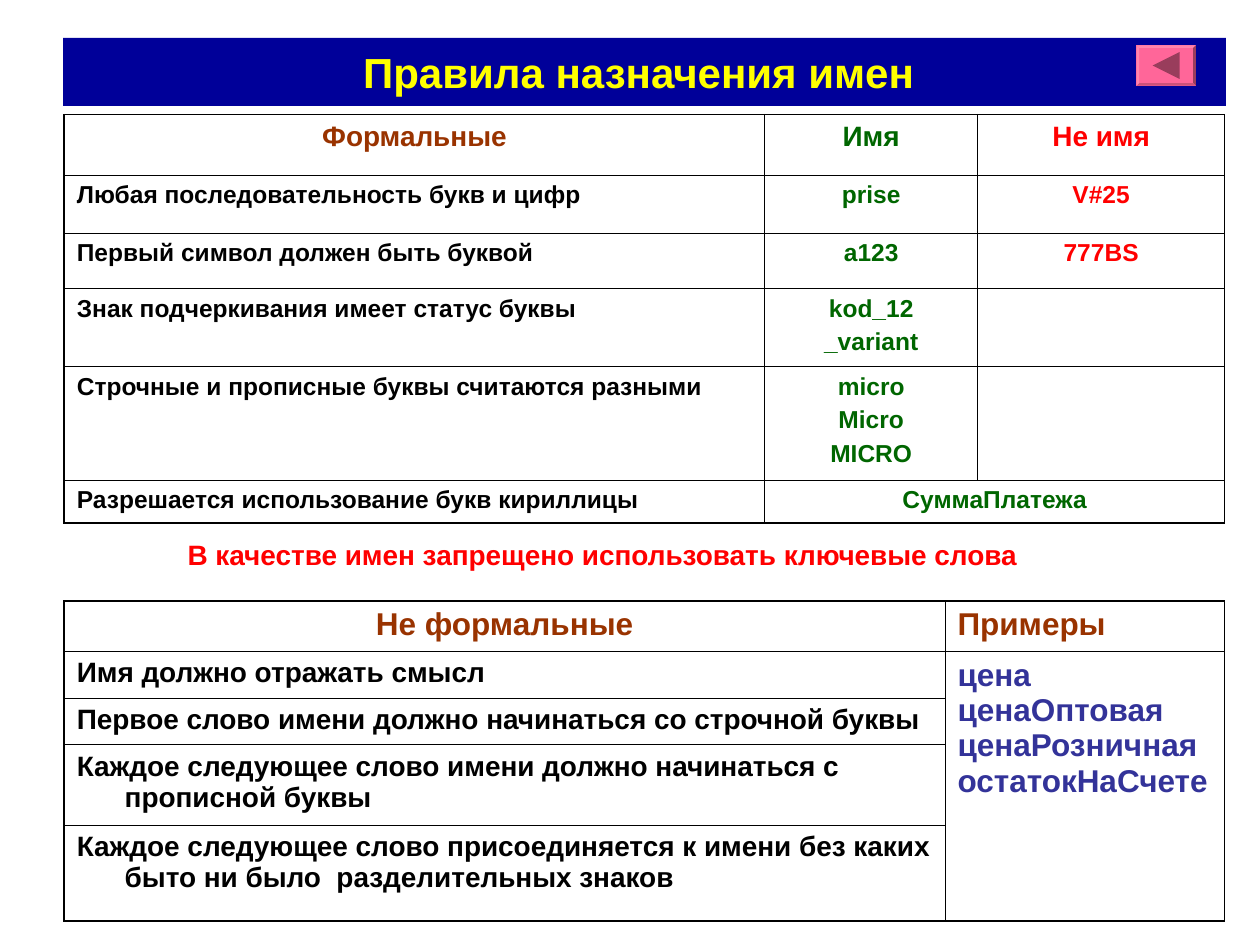
from lxml import etree
from pptx import Presentation
from pptx.dml.color import RGBColor
from pptx.enum.text import MSO_ANCHOR, MSO_AUTO_SIZE, PP_ALIGN
from pptx.oxml.ns import qn
from pptx.util import Inches, Pt

LEFT, MID, JUST = PP_ALIGN.LEFT, PP_ALIGN.CENTER, PP_ALIGN.JUSTIFY
CENTER = MSO_ANCHOR.MIDDLE
NO_FIT = MSO_AUTO_SIZE.NONE
NAVY = RGBColor(0x00, 0x00, 0x99)
YELLOW = RGBColor(0xFF, 0xFF, 0x00)
BROWN = RGBColor(0x99, 0x33, 0x00)
GREEN = RGBColor(0x00, 0x66, 0x00)
RED = RGBColor(0xFF, 0x00, 0x00)
BLUE = RGBColor(0x33, 0x33, 0x99)
BLACK = RGBColor(0x00, 0x00, 0x00)
PINK = RGBColor(0xFF, 0x66, 0x99)
PALE = RGBColor(0xFF, 0x85, 0xAD)
ROSE = RGBColor(0xCC, 0x52, 0x7A)
PLUM = RGBColor(0x99, 0x3D, 0x5C)

FORMAL = [
    ["Формальные", "Имя", "Не имя"],
    ["Любая последовательность букв и цифр", "prise", "V#25"],
    ["Первый символ должен быть буквой", "a123", "777BS"],
    ["Знак подчеркивания имеет статус буквы", "kod_12\n_variant", ""],
    ["Строчные и прописные буквы считаются разными",
     "micro\nMicro\nMICRO", ""],
    ["Разрешается использование букв кириллицы", "СуммаПлатежа", ""],
]
CUSTOM = [
    "Имя должно отражать смысл",
    "Первое слово имени должно начинаться со строчной буквы",
    "Каждое следующее слово имени должно начинаться с прописной буквы",
    "Каждое следующее слово присоединяется к имени без каких быто ни было"
    "  разделительных знаков",
]
SAMPLES = "цена\nценаОптовая\nценаРозничная\nостатокНаСчете"


def write(frame, text, size, color, align=LEFT, gap=0, hang=0):
    for i, line in enumerate(text.split("\n")):
        para = frame.add_paragraph() if i else frame.paragraphs[0]
        para.alignment = align
        if i and gap:
            para.space_before = Pt(gap)
        if hang:
            props = para._p.get_or_add_pPr()
            props.set("marL", str(Inches(hang)))
            props.set("indent", str(-Inches(hang)))
        run = para.add_run()
        run.text = line
        font = run.font
        font.name, font.size, font.bold = "Arial", Pt(size), True
        font.color.rgb = color


def add_edge(cell, side, width):
    props = cell._tc.get_or_add_tcPr()
    line = etree.SubElement(props, qn("a:ln" + side), w=str(Pt(width)))
    fill = etree.SubElement(line, qn("a:solidFill"))
    etree.SubElement(fill, qn("a:srgbClr"), val=str(BLACK))


def add_grid(slide, box, cols, rows, spans, outer, inner=0.45):
    frame = slide.shapes.add_table(len(rows), len(cols), *map(Inches, box))
    table = frame.table
    table.first_row = table.horz_banding = False
    for col, width in zip(table.columns, cols):
        col.width = Inches(width)
    for row, height in zip(table.rows, rows):
        row.height = Inches(height)
    for start, end in spans:
        table.cell(*start).merge(table.cell(*end))
    for r in range(len(rows)):
        for c in range(len(cols)):
            cell = table.cell(r, c)
            high = cell.span_height if cell.is_merge_origin else 1
            wide = cell.span_width if cell.is_merge_origin else 1
            ends = {"L": c == 0, "R": c + wide == len(cols),
                    "T": r == 0, "B": r + high == len(rows)}
            for side, rim in ends.items():
                add_edge(cell, side, outer if rim else inner)
            cell.fill.background()
    return table


def add_title(slide, box):
    title = slide.shapes.title
    title.left, title.top, title.width, title.height = map(Inches, box)
    title.fill.solid()
    title.fill.fore_color.rgb = NAVY
    frame = title.text_frame
    frame.auto_size = NO_FIT
    frame.word_wrap = True
    frame.vertical_anchor = CENTER
    write(frame, "Правила назначения имен ", 24, YELLOW, MID)


def add_facet(slide, points, color):
    start, *rest = [(Inches(x), Inches(y)) for x, y in points]
    form = slide.shapes.build_freeform(*start)
    form.add_line_segments(rest)
    shape = form.convert_to_shape()
    shape.shadow.inherit = False
    shape.fill.solid()
    shape.fill.fore_color.rgb = color
    shape.line.fill.background()


def add_button(slide, box, rim=0.02):
    x, y, w, h = box
    outer = [(x, y), (x + w, y), (x + w, y + h), (x, y + h)]
    inner = [(x + rim, y + rim), (x + w - rim, y + rim),
             (x + w - rim, y + h - rim), (x + rim, y + h - rim)]
    add_facet(slide, outer, PINK)
    for i, color in enumerate([PALE, PLUM, ROSE, PALE]):
        j = (i + 1) % 4
        add_facet(slide, [outer[i], outer[j], inner[j], inner[i]], color)
    mid, half = y + h / 2, h / 3
    tip, back = x + w / 2 - half, x + w / 2 + half
    add_facet(slide, [(tip, mid), (back, mid - half), (back, mid + half)],
              PLUM)


def add_formal(slide, box):
    table = add_grid(slide, box, [5.56, 1.69, 1.96],
                     [0.48, 0.46, 0.44, 0.62, 0.9, 0.34],
                     [((5, 1), (5, 2))], 1.08)
    for r, row in enumerate(FORMAL):
        colors = [BLACK if r else BROWN, GREEN, RED]
        for c, text in enumerate(row):
            if text:
                align = JUST if r and c == 0 else MID
                write(table.cell(r, c).text_frame, text, 14 if r else 16,
                      colors[c], align, 3.5)


def add_note(slide, box):
    frame = slide.shapes.add_textbox(*map(Inches, box)).text_frame
    frame.word_wrap = False
    write(frame, "В качестве имен запрещено использовать ключевые слова",
          16, RED)


def add_custom(slide, box, hang=0.38):
    table = add_grid(slide, box, [6.99, 2.22],
                     [0.4, 0.37, 0.37, 0.64, 0.76],
                     [((1, 1), (4, 1))], 0.96)
    write(table.cell(0, 0).text_frame, "Не формальные", 18, BROWN, MID,
          hang=hang)
    write(table.cell(0, 1).text_frame, "Примеры", 18, BROWN, hang=hang)
    write(table.cell(1, 1).text_frame, SAMPLES, 18, BLUE, hang=hang)
    for r, text in enumerate(CUSTOM, 1):
        write(table.cell(r, 0).text_frame, text, 16, BLACK, hang=hang)


def main():
    deck = Presentation()
    deck.slide_width, deck.slide_height = Inches(10), Inches(7.5)
    slide = deck.slides.add_slide(deck.slide_layouts[5])
    add_title(slide, (0.5, 0.3, 9.23, 0.54))
    add_formal(slide, (0.51, 0.91, 9.21, 3.24))
    add_button(slide, (9.02, 0.36, 0.47, 0.32))
    add_note(slide, (1.39, 4.22, 6.89, 0.37))
    add_custom(slide, (0.51, 4.77, 9.21, 2.54))
    deck.save("out.pptx")


if __name__ == "__main__":
    main()
